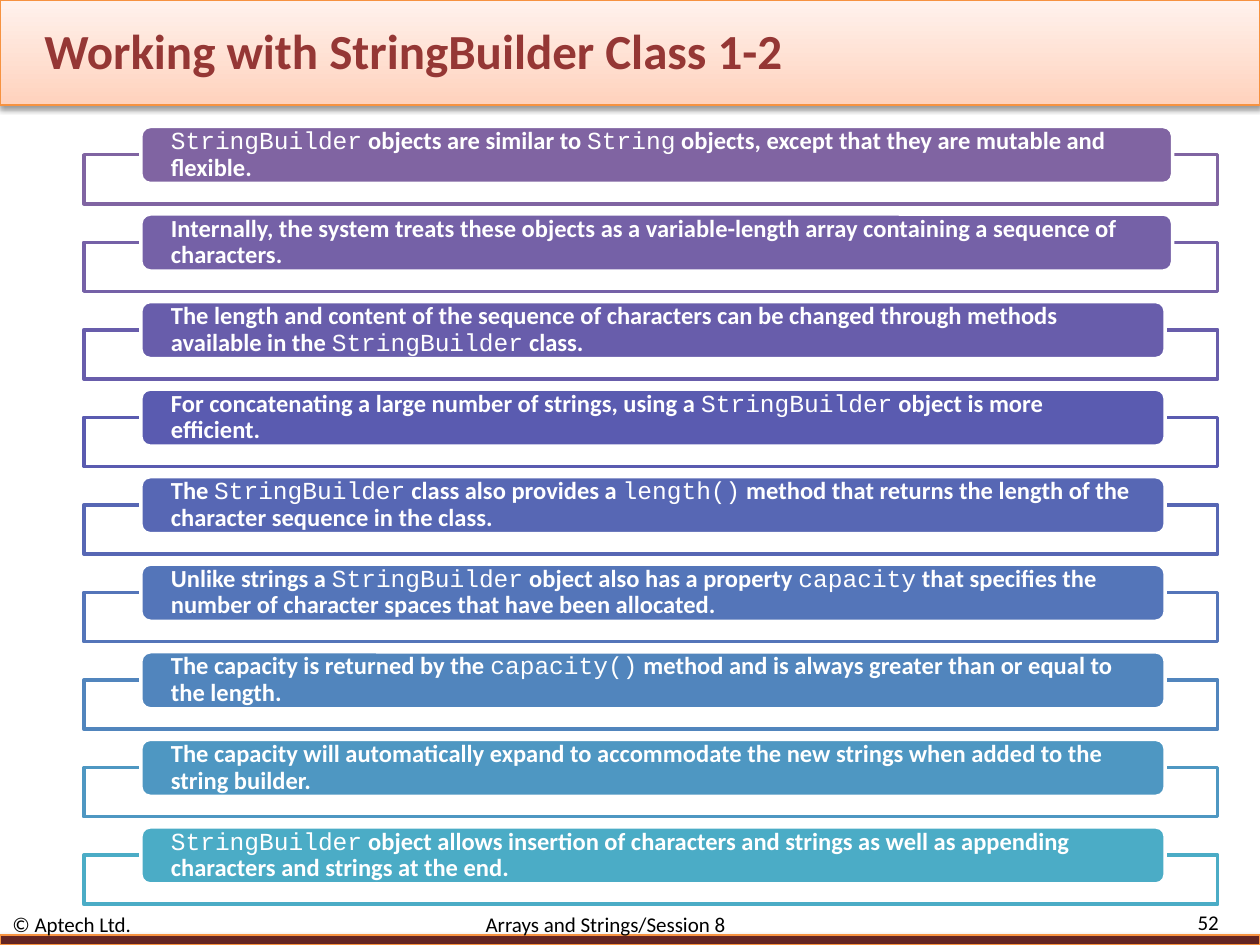
"""Build the slide on working with the StringBuilder class."""
from lxml.etree import SubElement
from pptx import Presentation
from pptx.dml.color import RGBColor
from pptx.enum.shapes import MSO_SHAPE as Shape
from pptx.enum.text import MSO_ANCHOR as Anchor, MSO_AUTO_SIZE as AutoSize, PP_ALIGN as Align
from pptx.oxml.ns import qn
from pptx.util import Cm, Pt

WHITE = RGBColor(0xFF, 0xFF, 0xFF)
BLACK = RGBColor(0x00, 0x00, 0x00)
PEACH = RGBColor(0xFF, 0xD2, 0xBD)
PALE_PEACH = RGBColor(0xFF, 0xF2, 0xED)
ORANGE = RGBColor(0xF6, 0x92, 0x40)
MAROON = RGBColor(0x63, 0x25, 0x23)
RED = RGBColor(0x95, 0x37, 0x35)

ROWS = [
    (RGBColor(0x80, 0x64, 0xA2), 20.8,
     "`StringBuilder` objects are similar to `String` objects, except that they are mutable and flexible."),
    (RGBColor(0x75, 0x61, 0xA7), 20.8,
     "Internally, the system treats these objects as a variable-length array containing a sequence of characters."),
    (RGBColor(0x68, 0x5D, 0xAB), 20.65,
     "The length and content of the sequence of characters can be changed through methods "
     "available in the `StringBuilder` class."),
    (RGBColor(0x5A, 0x5B, 0xB0), 20.65,
     "For concatenating a large number of strings, using a `StringBuilder` object is more efficient."),
    (RGBColor(0x57, 0x67, 0xB4), 20.65,
     "The `StringBuilder` class also provides a `length()` method that returns the length of the "
     "character sequence in the class."),
    (RGBColor(0x54, 0x75, 0xB9), 20.65,
     "Unlike strings a `StringBuilder` object also has a property `capacity` that specifies the "
     "number of character spaces that have been allocated."),
    (RGBColor(0x51, 0x85, 0xBD), 20.65,
     "The capacity is returned by the `capacity()` method and is always greater than or equal to the length."),
    (RGBColor(0x4E, 0x97, 0xC2), 20.65,
     "The capacity will automatically expand to accommodate the new strings when added to the string builder."),
    (RGBColor(0x4B, 0xAC, 0xC6), 20.65,
     "`StringBuilder` object allows insertion of characters and strings as well as appending "
     "characters and strings at the end."),
]

deck = Presentation()
deck.slide_width, deck.slide_height = Cm(25.4), Cm(19.05)
page = deck.slides.add_slide(deck.slide_layouts[5])


def add_box(kind, left, top, width, height, fill, line, weight):
    box = page.shapes.add_shape(kind, Cm(left), Cm(top), Cm(width), Cm(height))
    box.shadow.inherit = False
    box.fill.solid()
    box.fill.fore_color.rgb = fill
    box.line.color.rgb = line
    box.line.width = Pt(weight)
    return box


def set_font(font, size, color, bold=False):
    font.name = "Calibri"
    font.size = Pt(size)
    font.bold = bold
    font.color.rgb = color


header = add_box(Shape.RECTANGLE, 0, 0, 25.4, 2.12, PEACH, ORANGE, 0.75)
header.fill.gradient()
header.fill.gradient_angle = 90
for stop, color in zip(header.fill.gradient_stops, (PEACH, PALE_PEACH)):
    stop.color.rgb = color
footer_bar = add_box(Shape.RECTANGLE, 0, 18.85, 25.4, 0.2, MAROON, ORANGE, 0.75)
for bar in (header, footer_bar):
    effects = bar.element.spPr.find(qn("a:effectLst"))
    shadow = SubElement(effects, qn("a:outerShdw"), blurRad=str(Pt(3.1)), dist=str(Pt(1.7)),
                        dir="5400000", rotWithShape="0")
    shade = SubElement(shadow, qn("a:srgbClr"), val="000000")
    SubElement(shade, qn("a:alpha"), val="38000")

title = page.shapes.title
page.shapes.element.append(title.element)
title.left, title.top, title.width, title.height = Cm(0.64), Cm(0.43), Cm(21.16), Cm(1.14)
title.text_frame.text = "Working with StringBuilder Class 1-2"
title.text_frame.auto_size = AutoSize.NONE
title.text_frame.vertical_anchor = Anchor.MIDDLE
title.text_frame.paragraphs[0].alignment = Align.LEFT
set_font(title.text_frame.paragraphs[0].font, 28, RED, True)

for left, top, width, height, text, align in (
    (22.66, 18.36, 2.16, 0.46, "52", Align.RIGHT),
    (0, 18.42, 22.43, 0.43, "© Aptech Ltd.\tArrays and Strings/Session 8", Align.LEFT),
):
    frame = page.shapes.add_textbox(Cm(left), Cm(top), Cm(width), Cm(height)).text_frame
    frame.word_wrap = True
    frame.vertical_anchor = Anchor.MIDDLE
    para = frame.paragraphs[0]
    para.text = text
    para.alignment = align
    if "\t" in text:
        tabs = SubElement(para._p.get_or_add_pPr(), qn("a:tabLst"))
        SubElement(tabs, qn("a:tab"), pos=str(Cm(9.54)), algn="l")
    set_font(para.font, 12, BLACK)

for row, (color, width, text) in enumerate(ROWS):
    top = 2.55 + row * 14.12 / 8
    add_box(Shape.RECTANGLE, 1.69, top + 0.57, 22.86, 0.99, WHITE, color, 2)
    label = add_box(Shape.ROUNDED_RECTANGLE, 2.84, top, width, 1.15, color, WHITE, 2)
    frame = label.text_frame
    frame.word_wrap = True
    frame.vertical_anchor = Anchor.MIDDLE
    frame.margin_left = frame.margin_right = Cm(0.55)
    frame.margin_top = frame.margin_bottom = 0
    para = frame.paragraphs[0]
    para.alignment = Align.LEFT
    para.line_spacing = 0.9
    set_font(para.font, 14, WHITE, True)
    for index, part in enumerate(text.split("`")):
        if part:
            span = para.add_run()
            span.text = part
            if index % 2:
                span.font.name = "Courier New"
                span.font.bold = False

deck.save("out.pptx")
